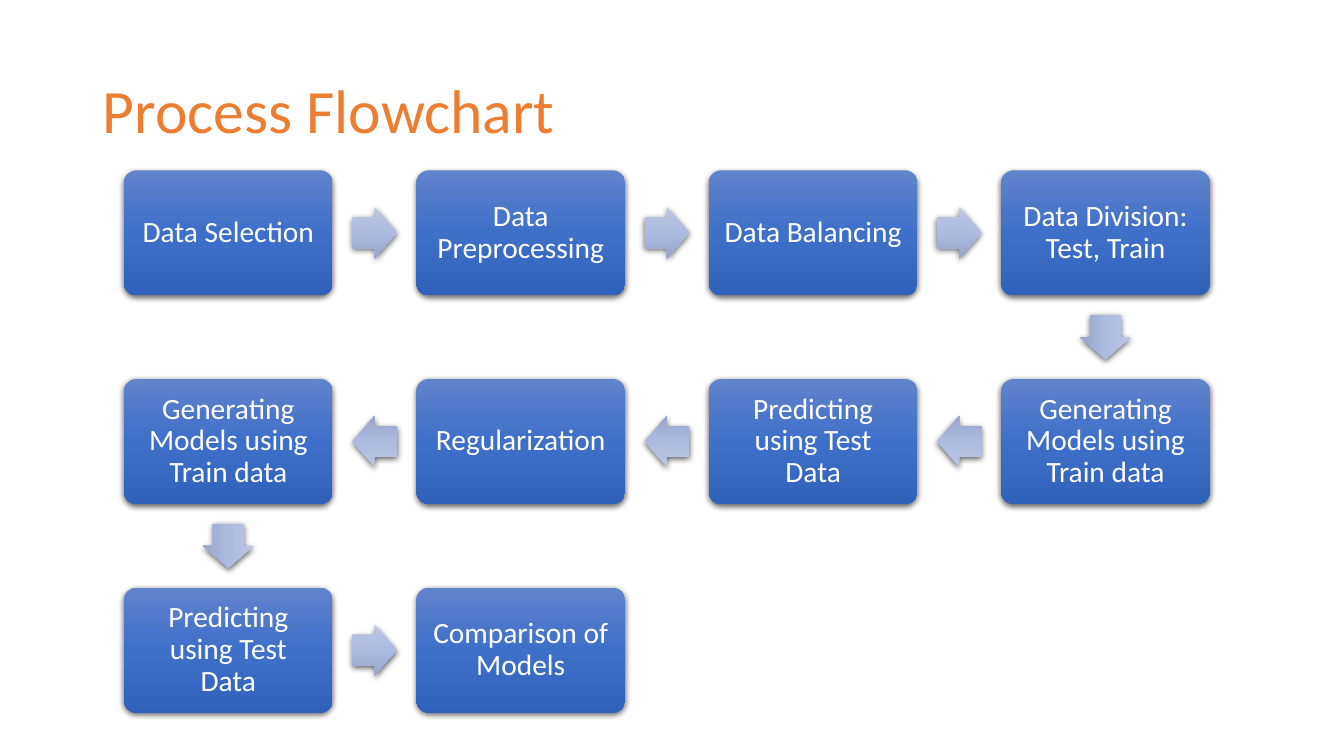
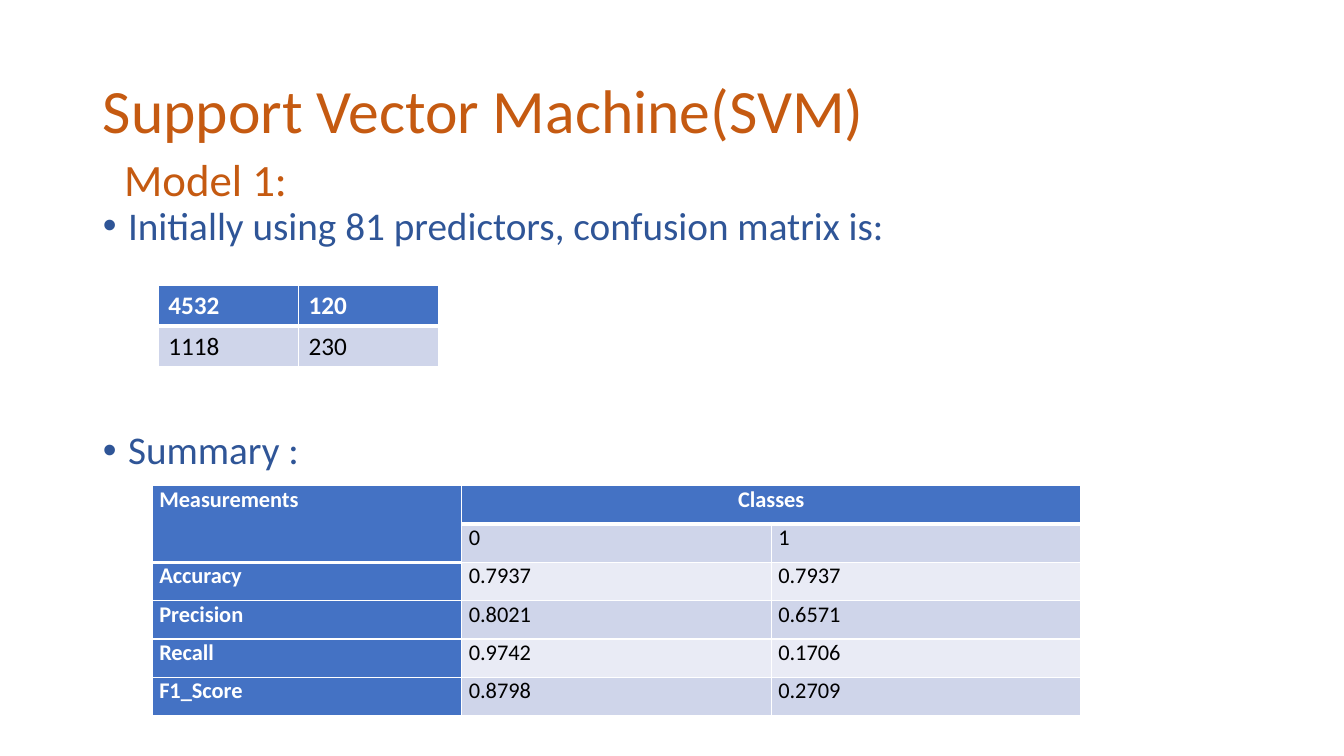
import dataclasses

import pptx
import pptx.dml.color
import pptx.enum.shapes
import pptx.enum.text
import pptx.oxml
import pptx.oxml.ns
import pptx.util

Inches = pptx.util.Inches
Pt = pptx.util.Pt
qn = pptx.oxml.ns.qn
ALIGN = pptx.enum.text.PP_ALIGN
ANCHOR = pptx.enum.text.MSO_ANCHOR
SHAPE = pptx.enum.shapes.MSO_SHAPE
DRAWING_NS = pptx.oxml.ns.nsdecls("a")


# Theme
@dataclasses.dataclass(frozen=True)
class Theme:
    font: str = "Calibri"
    white: str = "FFFFFF"
    black: str = "000000"
    orange: str = "ED7D31"
    dark_orange: str = "C55A11"
    navy: str = "2F5597"
    header: str = "4472C4"
    bands: tuple[str, str] = ("E9EBF5", "CFD5EA")
    box_gradient: tuple[str, ...] = ("6183CB", "3E70CA", "3062BB")
    arrow_gradient: tuple[str, ...] = ("BBC5E3", "AEBBE0", "98A4CB")
    title_size: int = 44
    subtitle_size: int = 32
    body_size: int = 28
    box_size: int = 21
    line_spacing: float = 0.9


THEME = Theme()


# Described elements
@dataclasses.dataclass(frozen=True)
class Step:
    text: str
    row: int
    col: int


@dataclasses.dataclass(frozen=True)
class TableSpec:
    left: float
    top: float
    col_width: float
    row_height: float
    size: int
    rows: tuple[tuple[str, ...], ...]
    header_column: bool = False
    insets: tuple[float, float] = (0.1, 0.05)
    merges: tuple[tuple[int, int, int, int], ...] = ()

    def is_merged(self, row: int, col: int) -> bool:
        return any(r1 <= row <= r2 and c1 <= col <= c2
                   for r1, c1, r2, c2 in self.merges)


# Shared helpers
def format_paragraph(p, size: float, color: str, bold: bool = False,
                     align=ALIGN.LEFT) -> None:
    p.alignment = align
    for r in p.runs:
        r.font.name = THEME.font
        r.font.size = Pt(size)
        r.font.bold = bold
        r.font.color.rgb = pptx.dml.color.RGBColor.from_string(color)


def place(shape, left: float, top: float, width: float, height: float) -> None:
    shape.left, shape.top = Inches(left), Inches(top)
    shape.width, shape.height = Inches(width), Inches(height)


def add_titled_slide(prs, layout: int, title: str, color: str):
    s = prs.slides.add_slide(prs.slide_layouts[layout])
    place(s.shapes.title, 0.92, 0.4, 11.5, 1.45)
    tf = s.shapes.title.text_frame
    tf.text = title
    tf.vertical_anchor = ANCHOR.MIDDLE
    tf.auto_size = pptx.enum.text.MSO_AUTO_SIZE.NONE
    p = tf.paragraphs[0]
    p.line_spacing = THEME.line_spacing
    format_paragraph(p, THEME.title_size, color)
    return s


def style_raised(sp, colors: tuple[str, ...]) -> None:
    """Vertical gradient, no outline and a soft shadow below."""
    sp.fill.gradient()
    sp.fill.gradient_angle = 270
    stops = sp._element.spPr.find(qn("a:gradFill")).find(qn("a:gsLst"))
    for stop in list(stops):
        stops.remove(stop)
    for i, color in enumerate(colors):
        position = 100000 * i // (len(colors) - 1)
        stops.append(pptx.oxml.parse_xml(
            f'<a:gs {DRAWING_NS} pos="{position}"><a:srgbClr val="{color}"/></a:gs>'))
    sp.line.fill.background()
    sp.shadow.inherit = False
    sp._element.spPr.find(qn("a:effectLst")).append(pptx.oxml.parse_xml(
        f'<a:outerShdw {DRAWING_NS} blurRad="{Pt(4.5)}" dist="{Pt(1.5)}" '
        'dir="5400000" algn="ctr" rotWithShape="0"><a:srgbClr val="000000">'
        '<a:alpha val="63000"/></a:srgbClr></a:outerShdw>'))


# Flowchart
BOX_W, BOX_H = 2.07, 1.24
ARROW_W, ARROW_H = 0.44, 0.51
FLOW_LEFT, FLOW_TOP = 1.23, 1.69
PITCH_X, PITCH_Y = 2.9, 2.07
FLOW_COLS = 4


def snake(texts: tuple[str, ...]) -> list[Step]:
    """Lay steps out in rows that run alternately right and left."""
    steps = []
    for i, text in enumerate(texts):
        row, col = divmod(i, FLOW_COLS)
        steps.append(Step(text, row, FLOW_COLS - 1 - col if row % 2 else col))
    return steps


def center(step: Step) -> tuple[float, float]:
    return (FLOW_LEFT + step.col * PITCH_X + BOX_W / 2,
            FLOW_TOP + step.row * PITCH_Y + BOX_H / 2)


def add_centered(s, kind, x: float, y: float, width: float, height: float):
    return s.shapes.add_shape(kind, Inches(x - width / 2), Inches(y - height / 2),
                              Inches(width), Inches(height))


def add_step(s, step: Step) -> None:
    sp = add_centered(s, SHAPE.ROUNDED_RECTANGLE, *center(step), BOX_W, BOX_H)
    sp.adjustments[0] = 0.1
    style_raised(sp, THEME.box_gradient)
    tf = sp.text_frame
    tf.word_wrap = True
    tf.vertical_anchor = ANCHOR.MIDDLE
    tf.margin_left = tf.margin_right = Inches(0.12)
    tf.margin_top = tf.margin_bottom = Inches(0.12)
    tf.text = step.text
    p = tf.paragraphs[0]
    p.line_spacing = THEME.line_spacing
    format_paragraph(p, THEME.box_size, THEME.white, align=ALIGN.CENTER)


def add_step_arrow(s, start: Step, end: Step) -> None:
    (x1, y1), (x2, y2) = center(start), center(end)
    sp = add_centered(s, SHAPE.RIGHT_ARROW, (x1 + x2) / 2, (y1 + y2) / 2,
                      ARROW_W, ARROW_H)
    sp.adjustments[0], sp.adjustments[1] = 0.6, 0.5
    if start.row != end.row:
        sp.rotation = 90
    elif end.col < start.col:
        sp.rotation = 180
    style_raised(sp, THEME.arrow_gradient)


# Tables
def set_borders(cell, bottom: float) -> None:
    tc_pr = cell._tc.get_or_add_tcPr()
    for side, width in (("L", 1), ("R", 1), ("T", 1), ("B", bottom)):
        tc_pr.append(pptx.oxml.parse_xml(
            f'<a:ln{side} {DRAWING_NS} w="{Pt(width)}"><a:solidFill>'
            f'<a:srgbClr val="{THEME.white}"/></a:solidFill></a:ln{side}>'))


def add_data_table(s, spec: TableSpec) -> None:
    n_rows, n_cols = len(spec.rows), len(spec.rows[0])
    table = s.shapes.add_table(
        n_rows, n_cols, Inches(spec.left), Inches(spec.top),
        Inches(spec.col_width * n_cols), Inches(spec.row_height * n_rows)).table
    for r1, c1, r2, c2 in spec.merges:
        table.cell(r1, c1).merge(table.cell(r2, c2))
    for row, texts in enumerate(spec.rows):
        table.rows[row].height = Inches(spec.row_height)
        for col, text in enumerate(texts):
            cell = table.cell(row, col)
            is_header = row == 0 or (spec.header_column and col == 0)
            set_borders(cell, 3 if row == 0 or spec.is_merged(row, col) else 1)
            cell.fill.solid()
            cell.fill.fore_color.rgb = pptx.dml.color.RGBColor.from_string(
                THEME.header if is_header else THEME.bands[row % 2])
            cell.margin_left = cell.margin_right = Inches(spec.insets[0])
            cell.margin_top = cell.margin_bottom = Inches(spec.insets[1])
            if text:
                cell.text_frame.text = text
                spans_columns = cell.is_merge_origin and cell.span_width > 1
                format_paragraph(cell.text_frame.paragraphs[0], spec.size,
                                 THEME.white if is_header else THEME.black, is_header,
                                 ALIGN.CENTER if spans_columns else ALIGN.LEFT)


# Slides
def build_flowchart(prs) -> None:
    s = add_titled_slide(prs, 5, "Process Flowchart", THEME.orange)
    steps = snake((
        "Data Selection", "Data Preprocessing", "Data Balancing",
        "Data Division: Test, Train", "Generating Models using Train data",
        "Predicting using Test Data", "Regularization",
        "Generating Models using Train data", "Predicting using Test Data",
        "Comparison of Models"))
    for step in steps:
        add_step(s, step)
    for start, end in zip(steps, steps[1:]):
        add_step_arrow(s, start, end)


def build_svm(prs) -> None:
    s = add_titled_slide(prs, 1, "Support Vector Machine(SVM)", THEME.dark_orange)

    # Bullets, spaced to leave room for the confusion matrix
    body = s.placeholders[1]
    place(body, 0.92, 2, 11.5, 4.76)
    tf = body.text_frame
    tf.auto_size = pptx.enum.text.MSO_AUTO_SIZE.NONE
    tf.text = "Initially using 81 predictors, confusion matrix is:\nSummary :"
    for p, space_before in zip(tf.paragraphs, (10, 130)):
        p.line_spacing = THEME.line_spacing
        p.space_before = Pt(space_before)
        format_paragraph(p, THEME.body_size, THEME.navy)
        p_pr = p._p.get_or_add_pPr()
        p_pr.set("marL", str(Inches(0.25)))
        p_pr.set("indent", str(Inches(-0.25)))

    # Confusion matrix and summary
    add_data_table(s, TableSpec(1.57, 2.83, 1.39, 0.4, 18,
                                (("4532", "120"), ("1118", "230"))))
    add_data_table(s, TableSpec(
        1.51, 4.82, 3.07, 0.38, 16,
        (("Measurements", "Classes", ""),
         ("", "0", "1"),
         ("Accuracy", "0.7937", "0.7937"),
         ("Precision", "0.8021", "0.6571"),
         ("Recall", "0.9742", "0.1706"),
         ("F1_Score", "0.8798", "0.2709")),
        header_column=True, insets=(0.07, 0),
        merges=((0, 0, 1, 0), (0, 1, 0, 2))))

    # Model heading
    heading = s.shapes.add_textbox(Inches(0.54), Inches(1.46), Inches(3), Inches(0.64))
    heading.text_frame.word_wrap = True
    heading.text_frame.text = "Model 1:"
    format_paragraph(heading.text_frame.paragraphs[0], THEME.subtitle_size,
                     THEME.dark_orange, align=ALIGN.CENTER)


prs = pptx.Presentation()
prs.slide_width, prs.slide_height = Inches(13.33), Inches(7.5)
build_flowchart(prs)
build_svm(prs)
prs.save("out.pptx")
